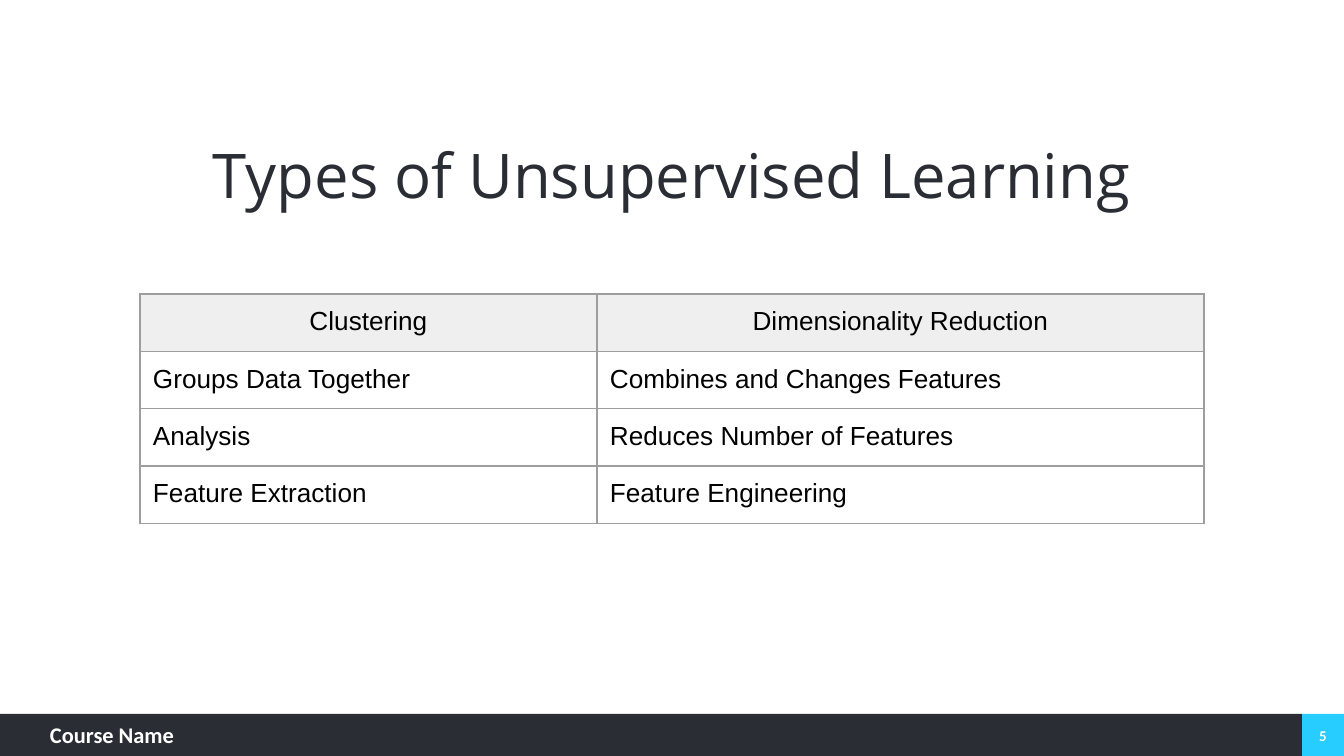
from lxml import etree
from pptx import Presentation
from pptx import util as u
from pptx.dml.color import RGBColor
from pptx.enum import shapes, text
from pptx.oxml.ns import qn

EMU_PER_PX = u.Inches(10) / 1344
THEME = {
    "ink": "2A2D34", "accent": "28CDFF", "white": "FFFFFF", "black": "000000",
    "header": "EFEFEF", "border": "9E9E9E",
    "title_size": 33, "table_size": 14, "brand_size": 12, "number_size": 8,
    "title_font": "Open Sans", "table_font": "Arial", "footer_font": "Calibri",
}


def px(*lengths):
    return [u.Emu(round(n * EMU_PER_PX)) for n in lengths]


def write(frame, words, *, size, font, color, bold=False,
          align=text.PP_ALIGN.LEFT, anchor=text.MSO_ANCHOR.TOP, inset=(0, 0)):
    """Fill a text frame; inset is (horizontal, vertical) in px."""
    frame.word_wrap = True
    frame.vertical_anchor = anchor
    frame.margin_left, frame.margin_top = px(*inset)
    frame.margin_right, frame.margin_bottom = px(*inset)
    line = frame.paragraphs[0]
    line.alignment = align
    run = line.add_run()
    run.text = words
    run.font.size = u.Pt(THEME[size])
    run.font.name = THEME[font]
    run.font.bold = bold
    run.font.color.rgb = RGBColor.from_string(THEME[color])


deck = Presentation()
deck.slide_width, deck.slide_height = px(1344, 756)
slide = deck.slides.add_slide(deck.slide_layouts[6])
center, middle = text.PP_ALIGN.CENTER, text.MSO_ANCHOR.MIDDLE

# Footer bands
for left, width, color in [(1302, 42, "accent"), (0, 1302, "ink")]:
    band = slide.shapes.add_shape(
        shapes.MSO_SHAPE.RECTANGLE, *px(left, 714, width, 42))
    band.shadow.inherit = False
    band.fill.solid()
    band.fill.fore_color.rgb = RGBColor.from_string(THEME[color])
    band.line.fill.background()

# Footer text
brand = slide.shapes.add_textbox(*px(50, 721, 211, 31))
write(brand.text_frame, "Course Name", size="brand_size", font="footer_font",
      color="white", bold=True)
page_number = slide.shapes.add_textbox(*px(1303, 716, 40, 40))
write(page_number.text_frame, "5", size="number_size", font="footer_font",
      color="white", bold=True, align=center, anchor=middle, inset=(9, 5))

# Title
title = slide.shapes.add_textbox(*px(98, 126, 1148, 88))
write(title.text_frame, "Types of Unsupervised Learning", size="title_size",
      font="title_font", color="ink", align=center,
      anchor=text.MSO_ANCHOR.BOTTOM, inset=(3, 3))

# Comparison table
comparison = [
    ("Clustering", "Dimensionality Reduction"),
    ("Groups Data Together", "Combines and Changes Features"),
    ("Analysis", "Reduces Number of Features"),
    ("Feature Extraction", "Feature Engineering"),
]
column_widths, row_height = (457, 607), 56
table = slide.shapes.add_table(
    len(comparison), len(column_widths),
    *px(140, 294, sum(column_widths), row_height * len(comparison))).table
table.first_row = table.horz_banding = False
for column, width in zip(table.columns, px(*column_widths)):
    column.width = width

for r, entries in enumerate(comparison):
    table.rows[r].height = px(row_height)[0]
    for c, entry in enumerate(entries):
        cell = table.cell(r, c)
        cell.margin_left, cell.margin_right = px(13, 13)
        cell.margin_top, cell.margin_bottom = px(13, 13)
        line = cell.text_frame.paragraphs[0]
        line.alignment = center if r == 0 else text.PP_ALIGN.LEFT
        run = line.add_run()
        run.text = entry
        run.font.size = u.Pt(THEME["table_size"])
        run.font.name = THEME["table_font"]
        run.font.color.rgb = RGBColor.from_string(THEME["black"])

        # Borders come before the fill in the cell properties
        properties = cell._tc.get_or_add_tcPr()
        for side in ("a:lnL", "a:lnR", "a:lnT", "a:lnB"):
            border = etree.SubElement(properties, qn(side), w=str(u.Pt(0.75)))
            paint = etree.SubElement(border, qn("a:solidFill"))
            etree.SubElement(paint, qn("a:srgbClr"), val=THEME["border"])
        if r == 0:
            cell.fill.solid()
            cell.fill.fore_color.rgb = RGBColor.from_string(THEME["header"])
        else:
            cell.fill.background()

deck.save("out.pptx")
